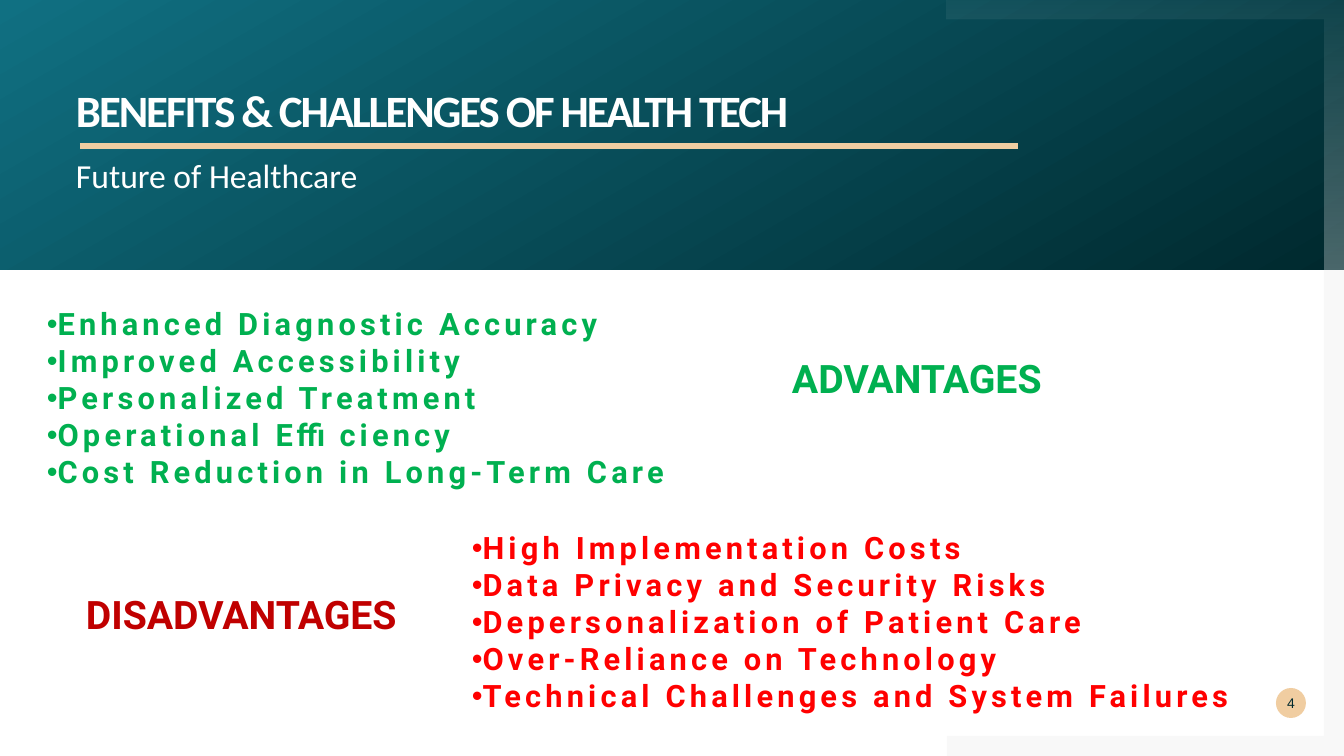
from lxml.etree import SubElement
from pptx import Presentation
from pptx.dml.color import RGBColor
from pptx.enum.shapes import MSO_CONNECTOR, MSO_SHAPE
from pptx.enum.text import MSO_ANCHOR, MSO_AUTO_SIZE, PP_ALIGN
from pptx.oxml.ns import qn
from pptx.util import Emu, Pt

EMU_PER_PX = 12192000 / 1344
WHITE, DARK, TEAL, SAND = "FFFFFF", "00292E", "107082", "F0CDA1"
GREEN, RED, DARK_RED, GRAY = "00B050", "FF0000", "C00000", "808080"

ADVANTAGES = [
    "Enhanced Diagnostic Accuracy",
    "Improved Accessibility",
    "Personalized Treatment",
    "Operational Efficiency",
    "Cost Reduction in Long-Term Care",
]
DISADVANTAGES = [
    "High Implementation Costs",
    "Data Privacy and Security Risks",
    "Depersonalization of Patient Care",
    "Over-Reliance on Technology",
    "Technical Challenges and System Failures",
]


def px(length):
    return Emu(round(length * EMU_PER_PX))


def color(value):
    return RGBColor.from_string(value)


def set_alphas(shape, *percents):
    """Set the opacity of each fill colour in turn."""
    colors = list(shape.fill._xPr.iter(qn("a:srgbClr")))
    for element, percent in zip(colors, percents):
        SubElement(element, qn("a:alpha")).set("val", str(percent * 1000))


def fill_solid(shape, value):
    shape.fill.solid()
    shape.fill.fore_color.rgb = color(value)


def fill_gradient(shape, first, last, angle):
    shape.fill.gradient()
    shape.fill.gradient_angle = angle
    for stop, value in zip(shape.fill.gradient_stops, (first, last)):
        stop.color.rgb = color(value)


def make_plain(shape):
    shape.shadow.inherit = False
    shape.line.fill.background()
    return shape


def add_preset(slide, kind, box):
    return make_plain(slide.shapes.add_shape(kind, *map(px, box)))


def add_outline(slide, points):
    builder = slide.shapes.build_freeform(*points[0], scale=EMU_PER_PX)
    builder.add_line_segments(points[1:], close=True)
    return make_plain(builder.convert_to_shape())


def add_rule(slide, left, right, y, value, width):
    rule = slide.shapes.add_connector(
        MSO_CONNECTOR.STRAIGHT, px(left), px(y), px(right), px(y))
    rule.line.color.rgb = color(value)
    rule.line.width = Pt(width)
    SubElement(rule._element.spPr, qn("a:effectLst"))


def remove_margins(frame):
    frame.margin_left = frame.margin_right = 0
    frame.margin_top = frame.margin_bottom = 0


def add_run(paragraph, text, font, size, value, bold=False, spacing=0):
    run = paragraph.add_run()
    run.text = text
    run.font.name = font
    run.font.size = Pt(size)
    run.font.bold = bold
    run.font.color.rgb = color(value)
    if spacing:
        run._r.get_or_add_rPr().set("spc", str(round(spacing * 100)))


def add_text_frame(slide, box, wrap=True):
    frame = slide.shapes.add_textbox(*map(px, box)).text_frame
    frame.word_wrap = wrap
    return frame


def add_heading(slide, box, text, size, bold=False, spacing=0, line_spacing=1.0):
    frame = add_text_frame(slide, box)
    remove_margins(frame)
    paragraph = frame.paragraphs[0]
    paragraph.line_spacing = line_spacing
    add_run(paragraph, text, "Calibri", size, WHITE, bold, spacing)


def add_label(slide, box, text, value):
    frame = add_text_frame(slide, box)
    frame.auto_size = MSO_AUTO_SIZE.SHAPE_TO_FIT_TEXT
    add_run(frame.paragraphs[0], text, "Roboto", 28, value, bold=True)


def add_bullet(paragraph):
    properties = paragraph._p.get_or_add_pPr()
    properties.set("marL", "0")
    properties.set("indent", "0")
    SubElement(properties, qn("a:buFont")).set("typeface", "Arial")
    SubElement(properties, qn("a:buChar")).set("char", "•")


def add_bullet_list(slide, box, items, value, wrap=True):
    frame = add_text_frame(slide, box, wrap)
    frame.auto_size = MSO_AUTO_SIZE.SHAPE_TO_FIT_TEXT
    frame.vertical_anchor = MSO_ANCHOR.MIDDLE
    for index, item in enumerate(items):
        paragraph = frame.add_paragraph() if index else frame.paragraphs[0]
        add_bullet(paragraph)
        add_run(paragraph, item, "Roboto", 22, value, bold=True, spacing=3)


def add_page_number(slide, box, number):
    badge = add_preset(slide, MSO_SHAPE.OVAL, box)
    fill_solid(badge, SAND)
    frame = badge.text_frame
    remove_margins(frame)
    frame.word_wrap = False
    frame.vertical_anchor = MSO_ANCHOR.MIDDLE
    paragraph = frame.paragraphs[0]
    paragraph.alignment = PP_ALIGN.CENTER
    add_run(paragraph, number, "Arial", 10, DARK)


def main():
    presentation = Presentation()
    presentation.slide_width, presentation.slide_height = px(1344), px(756)
    slide = presentation.slides.add_slide(presentation.slide_layouts[6])

    # Header band and the frame along the right side
    lower_frame = add_outline(slide, [
        (1324, 270), (1344, 270), (1344, 756), (947, 756), (947, 736), (1324, 736)])
    fill_solid(lower_frame, GRAY)
    set_alphas(lower_frame, 5)
    header = add_preset(slide, MSO_SHAPE.RECTANGLE, (0, 0, 1344, 270))
    fill_gradient(header, DARK, TEAL, 120)
    upper_frame = add_outline(slide, [
        (947, 0), (1344, 0), (1344, 270), (1324, 270), (1324, 20), (947, 20)])
    fill_gradient(upper_frame, WHITE, WHITE, 270)
    set_alphas(upper_frame, 5, 30)

    # Title, page number and subtitle
    add_heading(slide, (76, 89, 1089, 51), "BENEFITS & CHALLENGES OF HEALTH TECH",
                32, bold=True, spacing=-1.5, line_spacing=0.9)
    add_page_number(slide, (1276, 688, 30, 30), "4")
    add_heading(slide, (76, 155, 834, 39), "Future of Healthcare", 24)
    add_rule(slide, 80, 1018, 146, SAND, 4.32)

    # Advantages and disadvantages
    add_bullet_list(slide, (37, 299, 670, 197), ADVANTAGES, GREEN)
    add_bullet_list(slide, (462, 523, 814, 197), DISADVANTAGES, RED, wrap=False)
    add_label(slide, (76, 585, 672, 57), "DISADVANTAGES", DARK_RED)
    add_label(slide, (782, 349, 672, 57), "ADVANTAGES", GREEN)

    presentation.save("out.pptx")


if __name__ == "__main__":
    main()
